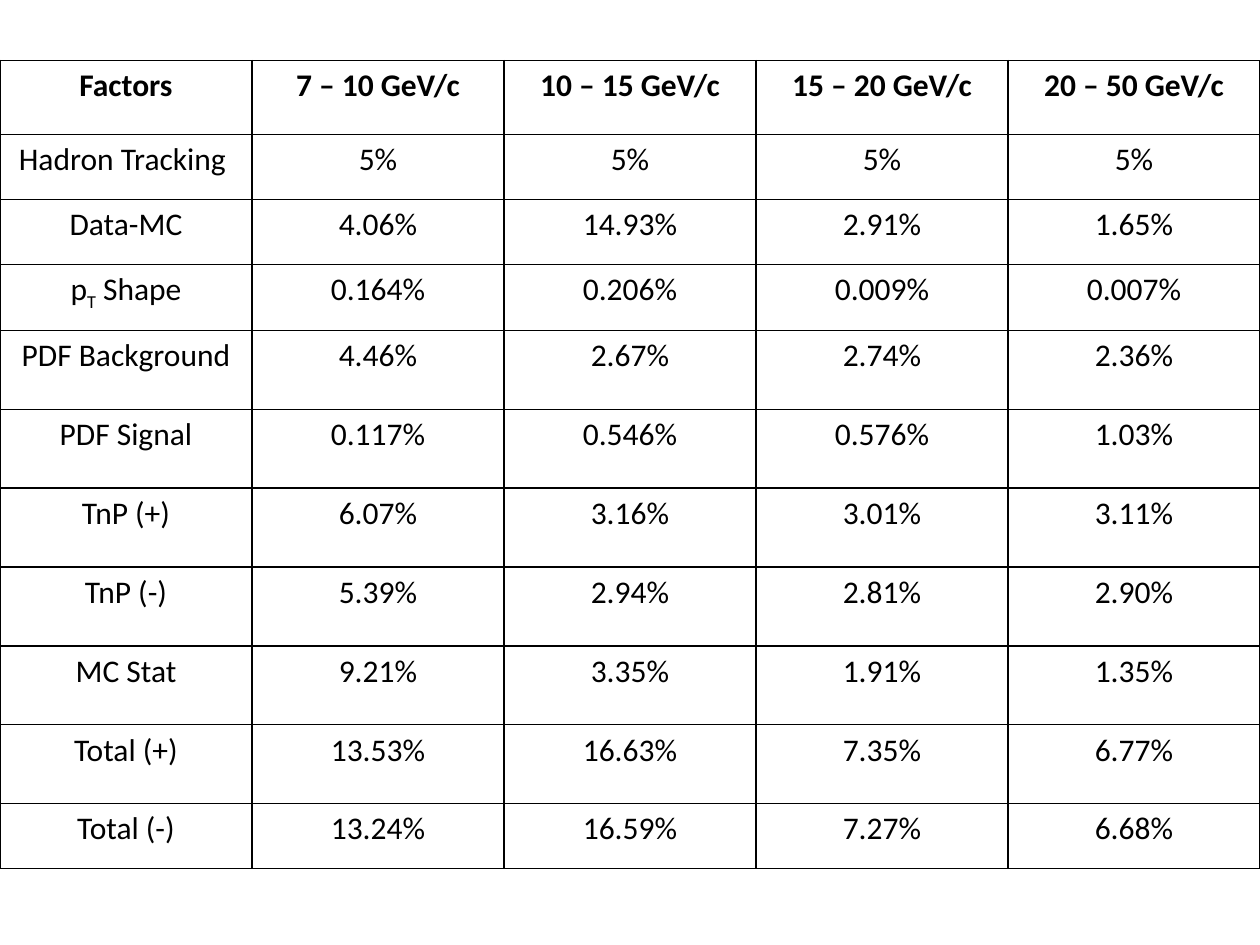
"""Build a slide with a table of systematic uncertainties per momentum range."""
from typing import NamedTuple

from lxml import etree
from pptx import Presentation
from pptx import util as u
from pptx.dml.color import RGBColor
from pptx.enum import text
from pptx.oxml import ns

COLORS = {"ink": "000000"}
FONT_NAME = "Calibri"
FONT_SIZE = u.Pt(18)
BORDER_WIDTH = u.Pt(1)
COLUMN_WIDTH = u.Cm(5.08)
TABLE_TOP = u.Cm(1.22)
HEADER, SHORT, MEDIUM, TALL = 1.49, 1.31, 1.33, 1.59


class FactorRow(NamedTuple):
    height: float
    label: tuple[str, ...]
    values: tuple[str, ...]


ROWS = (
    FactorRow(HEADER, ("Factors",),
              ("7 – 10 GeV/c", "10 – 15 GeV/c", "15 – 20 GeV/c", "20 – 50 GeV/c")),
    FactorRow(SHORT, ("Hadron Tracking ",), ("5%",) * 4),
    FactorRow(SHORT, ("Data-MC",), ("4.06%", "14.93%", "2.91%", "1.65%")),
    FactorRow(MEDIUM, ("p", "T", " Shape"), ("0.164%", "0.206%", "0.009%", "0.007%")),
    FactorRow(TALL, ("PDF Background",), ("4.46%", "2.67%", "2.74%", "2.36%")),
    FactorRow(TALL, ("PDF Signal",), ("0.117%", "0.546%", "0.576%", "1.03%")),
    FactorRow(TALL, ("TnP (+)",), ("6.07%", "3.16%", "3.01%", "3.11%")),
    FactorRow(TALL, ("TnP (-)",), ("5.39%", "2.94%", "2.81%", "2.90%")),
    FactorRow(TALL, ("MC Stat",), ("9.21%", "3.35%", "1.91%", "1.35%")),
    FactorRow(TALL, ("Total (+)",), ("13.53%", "16.63%", "7.35%", "6.77%")),
    FactorRow(SHORT, ("Total (-)",), ("13.24%", "16.59%", "7.27%", "6.68%")),
)


def draw_borders(cell) -> None:
    """Outline a cell on all four sides."""
    properties = cell._tc.get_or_add_tcPr()
    for side in ("a:lnL", "a:lnR", "a:lnT", "a:lnB"):
        line = etree.SubElement(properties, ns.qn(side), w=str(BORDER_WIDTH))
        fill = etree.SubElement(line, ns.qn("a:solidFill"))
        etree.SubElement(fill, ns.qn("a:srgbClr"), val=COLORS["ink"])


def fill_cell(cell, parts: tuple[str, ...], bold: bool) -> None:
    """Write centred text into a cell, with every second part as a subscript."""
    draw_borders(cell)
    cell.fill.background()
    paragraph = cell.text_frame.paragraphs[0]
    paragraph.alignment = text.PP_ALIGN.CENTER
    for index, part in enumerate(parts):
        run = paragraph.add_run()
        run.text = part
        run.font.name = FONT_NAME
        run.font.size = FONT_SIZE
        run.font.bold = bold
        run.font.color.rgb = RGBColor.from_string(COLORS["ink"])
        if index % 2:
            run._r.get_or_add_rPr().set("baseline", "-25000")


def draw_table(slide, rows: tuple[FactorRow, ...]) -> None:
    """Add the uncertainty table across the whole slide width."""
    column_count = 1 + len(rows[0].values)
    height = u.Cm(sum(row.height for row in rows))
    table = slide.shapes.add_table(
        len(rows), column_count, u.Cm(0), TABLE_TOP,
        COLUMN_WIDTH * column_count, height).table
    table.first_row = table.horz_banding = False
    for row_index, row in enumerate(rows):
        table.rows[row_index].height = u.Cm(row.height)
        contents = (row.label, *((value,) for value in row.values))
        for column_index, parts in enumerate(contents):
            fill_cell(table.cell(row_index, column_index), parts, bold=row_index == 0)


def main() -> None:
    """Create and save the presentation."""
    presentation = Presentation()
    presentation.slide_width = u.Cm(25.4)
    presentation.slide_height = u.Cm(19.05)
    slide = presentation.slides.add_slide(presentation.slide_layouts[6])
    draw_table(slide, ROWS)
    presentation.save("out.pptx")


if __name__ == "__main__":
    main()
